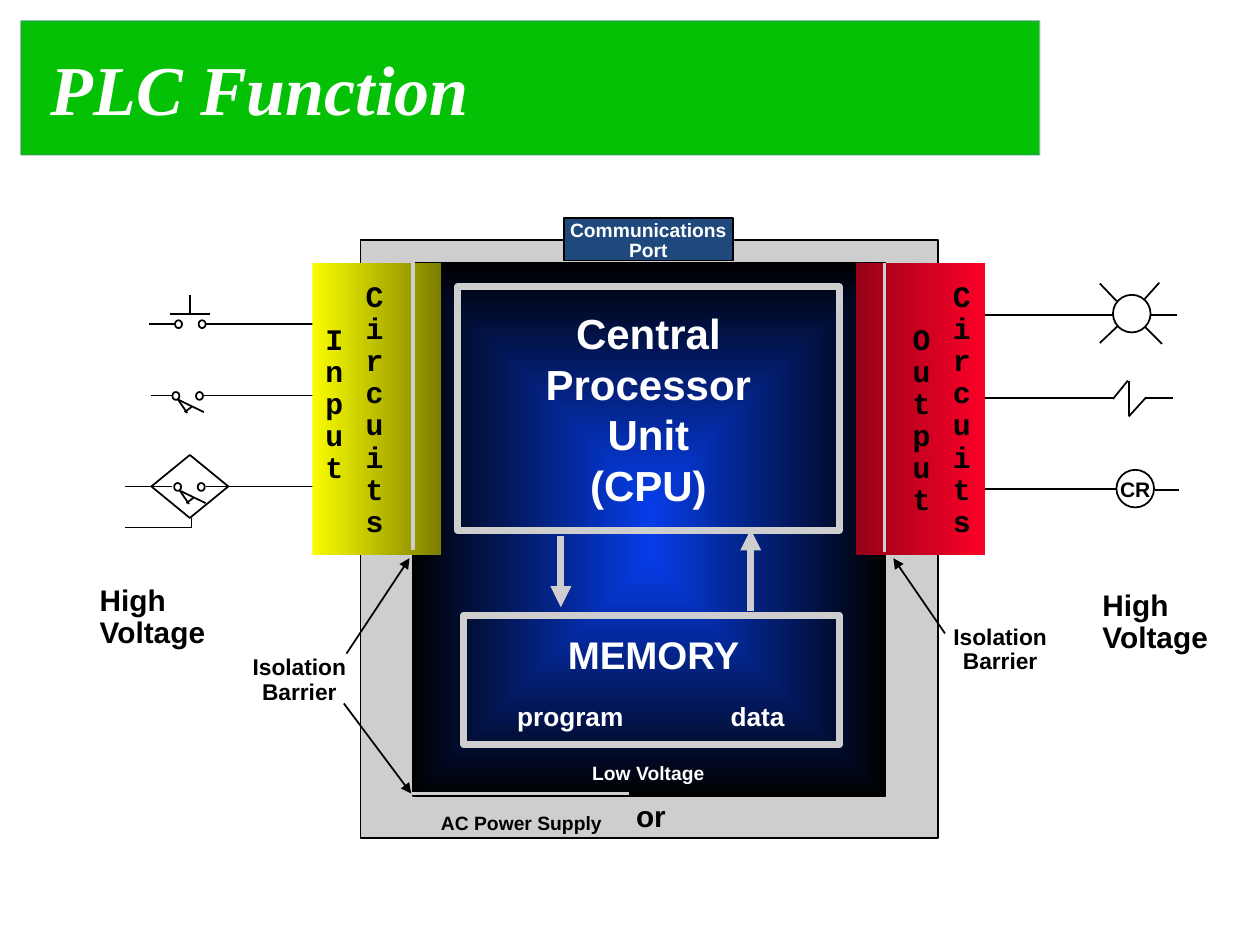
from lxml import etree
from pptx import Presentation
from pptx.dml.color import RGBColor
from pptx.enum.shapes import MSO_CONNECTOR, MSO_SHAPE
from pptx.enum.text import MSO_ANCHOR, MSO_AUTO_SIZE, PP_ALIGN
from pptx.oxml.ns import qn
from pptx.util import Pt

RECT, OVAL, DIAMOND = MSO_SHAPE.RECTANGLE, MSO_SHAPE.OVAL, MSO_SHAPE.DIAMOND
LEFT, CENTER = PP_ALIGN.LEFT, PP_ALIGN.CENTER
TOP, MIDDLE = MSO_ANCHOR.TOP, MSO_ANCHOR.MIDDLE
BLACK = RGBColor(0x00, 0x00, 0x00)
WHITE = RGBColor(0xFF, 0xFF, 0xFF)
GRAY = RGBColor(0xCE, 0xCE, 0xCE)
GREEN = RGBColor(0x05, 0xC1, 0x05)
EDGE = RGBColor(0x33, 0x99, 0x66)
NAVY = RGBColor(0x1F, 0x49, 0x7D)
BLUE = RGBColor(0x06, 0x3D, 0xE8)
DARK_RED = RGBColor(0x97, 0x01, 0x18)
RED = RGBColor(0xFC, 0x01, 0x28)
YELLOW = RGBColor(0xFA, 0xFD, 0x00)
OLIVE = RGBColor(0x7D, 0x7E, 0x00)
SANS, MONO, SERIF = "Arial", "Courier New", "Times New Roman"

TITLE = "PLC Function"
CONTACT = (4, 4.5)
SWITCH_ORIGINS = [(98.5, 224), (99.5, 276)]
SWITCH_CONTACTS = [0, 13.5]
SWITCH_ARM = [(3.5, 4.5, 18, 11.5), (11, 8.5, 7, 11.5), (8.5, 12, 3, 4)]
PUSHBUTTON_CONTACTS = [(100, 183), (113.5, 183)]
LAMP = (636, 168.5, 21.5, 21.5)
RELAY = (638, 268.5, 21.5, 21.5)
SENSOR = (86.5, 260, 44, 36)

INPUT_LINES = [
    (97, 179.5, 120, 179.5), (108.5, 180, 108.5, 168.5),
    (100, 185, 85, 185), (118, 185, 183, 185),
    (98.5, 226, 86.5, 226), (116.5, 226, 179, 226),
    (98.5, 278, 71.5, 278), (117.5, 278, 181.5, 278),
    (109.5, 296, 109.5, 301.5), (109.5, 301.5, 71.5, 301.5),
]
OUTPUT_LINES = [
    (638, 172, 628.5, 162), (654.5, 187, 664, 196.5),
    (653.5, 171.5, 662.5, 161.5), (638.5, 186.5, 628.5, 196),
    (636, 180, 558, 180), (658, 180, 672.5, 180),
    (636, 228, 644.5, 217.5), (645, 218, 645, 237.5),
    (645, 238, 655, 227), (654.5, 227.5, 670.5, 227.5),
    (636, 227.5, 558.5, 227.5),
    (638.5, 279.5, 558.5, 279.5), (660, 280, 674, 280),
]
BARRIERS = [(505.5, 150.5, 505.5, 315.5), (236, 149, 236, 314.5),
            (359.5, 453.5, 234.5, 453.5)]
BARRIER_POINTERS = [(198, 373.5, 234, 319), (540, 362, 510.5, 319),
                    (196.5, 402, 235, 453.5)]
DATA_FLOW = [(320.5, 306, 320.5, 347), (429, 349, 429, 302.5)]

ISOLATION = ["Isolation", "Barrier"]
VOLTAGE = ["High", "Voltage"]
LABELS = [
    (ISOLATION, (538, 354, 67, 35), 13, BLACK, CENTER, True),
    (ISOLATION, (137.5, 371.5, 67, 35), 13, BLACK, CENTER, True),
    (["MEMORY"], (318, 360, 111, 29.5), 22, WHITE, LEFT, False),
    (["program"], (289, 399, 72.5, 22), 15, WHITE, LEFT, False),
    (["data"], (411, 399, 42.5, 22), 15, WHITE, LEFT, False),
    (VOLTAGE, (50.5, 331, 75, 43), 17, BLACK, LEFT, False),
    (VOLTAGE, (623.5, 334, 75, 43), 17, BLACK, LEFT, False),
    (["Low Voltage"], (317, 433, 107, 19), 11, WHITE, CENTER, True),
    (["AC Power Supply"], (236, 461.5, 124, 19), 11, BLACK, CENTER, True),
    (["or"], (357, 454.5, 30, 25), 17, BLACK, LEFT, False),
    (["Communications", "Port"], (319, 122.5, 103, 30), 11, WHITE, CENTER, False),
]
VERTICAL_LABELS = [
    ("Output", (515, 182, 25, 117)), ("Circuits", (538, 157.5, 16.5, 153.5)),
    ("Input", (179.5, 182, 25, 99)), ("Circuits", (202.5, 157.5, 16.5, 153.5)),
]

prs = Presentation()
prs.slide_width, prs.slide_height = Pt(720), Pt(540)
s = prs.slides.add_slide(prs.slide_layouts[5])


def apply(obj, **values):
    for name, value in values.items():
        setattr(obj, name, value)


def write(sp, lines, size, color, align=CENTER, anchor=MIDDLE, wrap=False,
          font=SANS, spacing=1, insets=(6.5, 3.5), italic=False):
    tf = sp.text_frame
    dx, dy = (Pt(v) for v in insets)
    apply(tf, auto_size=MSO_AUTO_SIZE.NONE, word_wrap=wrap, vertical_anchor=anchor,
          margin_left=dx, margin_right=dx, margin_top=dy, margin_bottom=dy)
    for i, text in enumerate(lines):
        p = tf.add_paragraph() if i else tf.paragraphs[0]
        apply(p, alignment=align, line_spacing=spacing)
        r = p.add_run()
        r.text = text
        apply(r.font, name=font, size=Pt(size), bold=True, italic=italic)
        r.font.color.rgb = color


def add_box(kind, box, fill=None, line=BLACK, width=1):
    sp = s.shapes.add_shape(kind, *(Pt(v) for v in box))
    sp.shadow.inherit = False
    if fill is None:
        sp.fill.background()
    elif isinstance(fill, list):
        sp.fill.gradient()
        sp.fill.gradient_angle = 0
        for stop, color, position in zip(sp.fill.gradient_stops, fill, (0, 1)):
            stop.color.rgb = color
            stop.position = position
    else:
        sp.fill.solid()
        sp.fill.fore_color.rgb = fill
    if line is None:
        sp.line.fill.background()
    else:
        sp.line.color.rgb = line
        sp.line.width = Pt(width)
    return sp


def add_lines(lines, color=BLACK, width=1, arrow=False):
    for ends in lines:
        c = s.shapes.add_connector(MSO_CONNECTOR.STRAIGHT, *(Pt(v) for v in ends))
        c.line.color.rgb = color
        c.line.width = Pt(width)
        if arrow:
            etree.SubElement(c.line._get_or_add_ln(), qn("a:tailEnd"), type="triangle")
        etree.SubElement(c._element.spPr, qn("a:effectLst"))


def center_gradient(sp):
    grad = sp._element.spPr.find(qn("a:gradFill"))
    grad.remove(grad.find(qn("a:lin")))
    radial = etree.SubElement(grad, qn("a:path"), path="rect")
    etree.SubElement(radial, qn("a:fillToRect"), l="50000", t="50000", r="50000", b="50000")


title = s.shapes.title
apply(title, left=Pt(12), top=Pt(12), width=Pt(582), height=Pt(76.5))
title.fill.solid()
title.fill.fore_color.rgb = GREEN
title.line.color.rgb = EDGE
title.line.width = Pt(1)
edge = title._element.spPr.find(".//" + qn("a:ln")).find(".//" + qn("a:srgbClr"))
etree.SubElement(edge, qn("a:alpha"), val="50000")
write(title, [TITLE], 40, WHITE, LEFT, wrap=True, font=SERIF, insets=(17, 3.5), italic=True)

add_lines(INPUT_LINES + OUTPUT_LINES)
for spot in PUSHBUTTON_CONTACTS:
    add_box(OVAL, spot + CONTACT)
for x, y in SWITCH_ORIGINS:
    for dx in SWITCH_CONTACTS:
        add_box(OVAL, (x + dx, y) + CONTACT)
    add_lines([(x + a, y + b, x + c, y + d) for a, b, c, d in SWITCH_ARM])
add_box(DIAMOND, SENSOR)
add_box(OVAL, LAMP)
write(add_box(OVAL, RELAY), ["CR"], 12, BLACK)

add_box(RECT, (206, 137, 330, 342), GRAY)
center_gradient(add_box(RECT, (236, 150.5, 270, 304.5), [BLUE, BLACK]))
add_box(RECT, (489, 150, 74, 167), [DARK_RED, RED], None)
add_box(RECT, (178.5, 150, 73.5, 167), [YELLOW, OLIVE], None)
cpu = add_box(RECT, (261.5, 164, 218, 139), None, GRAY, 4)
write(cpu, ["Central", "Processor", "Unit", "(CPU)"], 24, WHITE)
add_lines(DATA_FLOW, GRAY, 4, True)
add_box(RECT, (265, 351.5, 214.5, 74), None, GRAY, 4)
add_box(RECT, (322.5, 124.5, 96.5, 24.5), NAVY)
add_lines(BARRIERS, GRAY, 2)
add_lines(BARRIER_POINTERS, arrow=True)

for lines, box, size, color, align, wrap in LABELS:
    tb = s.shapes.add_textbox(*(Pt(v) for v in box))
    write(tb, lines, size, color, align, TOP, wrap, spacing=0.9)
for text, box in VERTICAL_LABELS:
    tb = s.shapes.add_textbox(*(Pt(v) for v in box))
    write(tb, [text], 17, BLACK, LEFT, TOP, True, MONO, 0.9)

prs.save("out.pptx")
